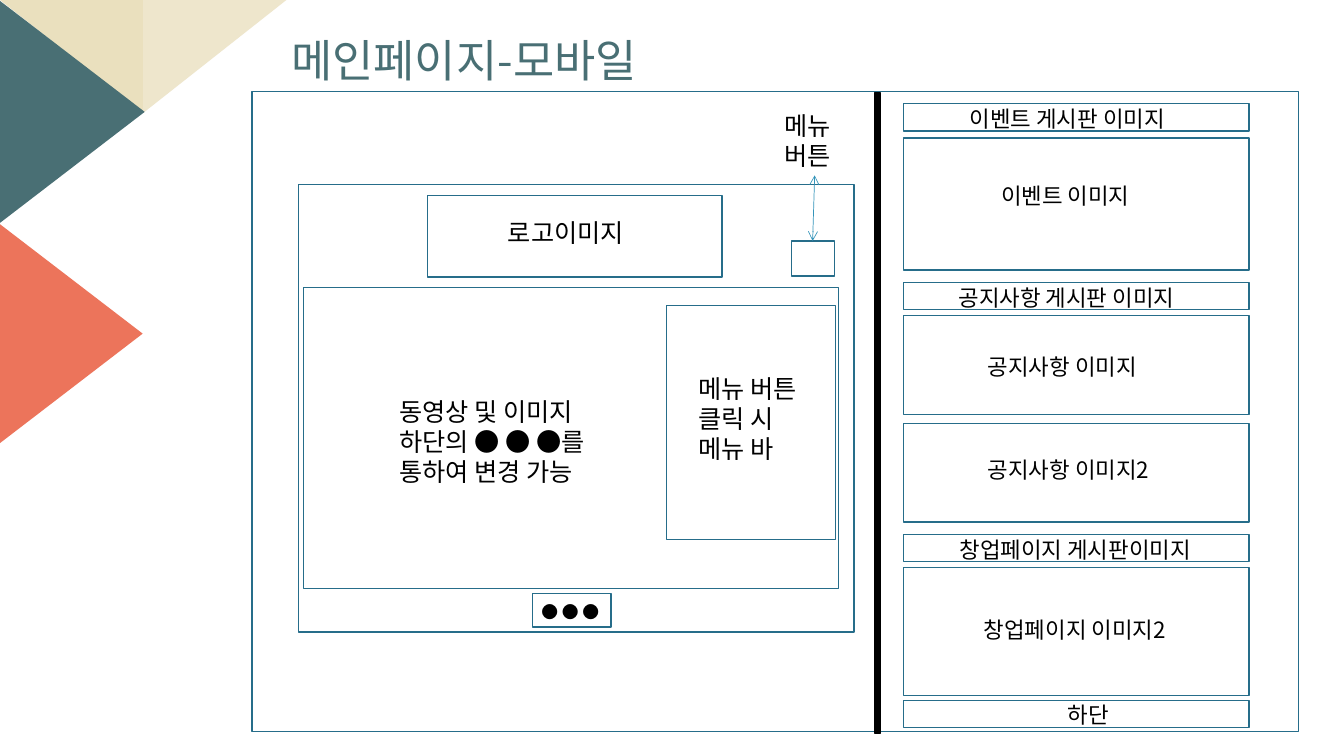
from lxml import etree
from pptx import Presentation
from pptx import util as u
from pptx.dml import color
from pptx.enum import shapes, text
from pptx.oxml import ns

Inches = u.Inches
FONT = "Noto Sans CJK KR"
COLORS = {"sand": "EAE0BE", "light_sand": "EEE6CC", "teal": "496F74", "coral": "EC745B",
          "outline": "266D8A", "arrow": "3494BA", "ink": "000000"}

# Left, top, width, height of the wireframe boxes
MOBILE_BOXES = [
    (2.5, 0.91, 10.38, 6.35),   # page
    (2.96, 1.83, 5.51, 4.44),   # phone screen
    (4.24, 1.94, 2.92, 0.81),   # logo
    (3.01, 2.85, 5.31, 2.99),   # video and images
    (5.28, 5.89, 0.78, 0.33),   # pager dots
    (6.61, 3.03, 1.68, 2.32),   # menu bar
    (7.85, 2.39, 0.43, 0.35),   # menu button
]

# Left, top, width, height, size, lines
MOBILE_LABELS = [
    (4.94, 2.11, 1.46, 0.4, 18, "로고이미지"),
    (7.68, 1.04, 0.81, 0.71, 18, "메뉴버튼"),
    (3.86, 3.88, 2.22, 1.01, 18, "동영상 및 이미지\n하단의 ● ● ●를\n통하여 변경 가능"),
    (6.83, 3.65, 1.3, 1.01, 18, "메뉴 버튼\n클릭 시\n메뉴 바"),
    (5.27, 5.92, 0.91, 0.3, 12, "● ● ●"),
]

# Right column: box top, box height, label left, label top, label width, label
SECTION_LEFT, SECTION_WIDTH, SECTION_LABEL_HEIGHT = 8.96, 3.43, 0.37
SECTIONS = [
    (1.03, 0.27, 9.52, 0.99, 2.37, "이벤트 게시판 이미지"),
    (1.37, 1.31, 9.83, 1.76, 1.62, "이벤트 이미지"),
    (2.8, 0.27, 9.41, 2.77, 2.6, "공지사항 게시판 이미지"),
    (3.13, 0.98, 9.7, 3.45, 1.85, "공지사항 이미지"),
    (4.2, 0.98, 9.7, 4.48, 1.98, "공지사항 이미지2"),
    (5.3, 0.27, 9.42, 5.27, 2.75, "창업페이지 게시판이미지"),
    (5.63, 1.27, 9.66, 6.06, 2.21, "창업페이지 이미지2"),
    (6.95, 0.27, 10.49, 6.91, 0.65, "하단"),
]


def rgb(name):
    return color.RGBColor.from_string(COLORS[name])


def add_block(slide, kind, box, fill=None, line=None, rotation=0):
    block = slide.shapes.add_shape(kind, *map(Inches, box))
    block.shadow.inherit = False
    block.rotation = rotation
    if fill:
        block.fill.solid()
        block.fill.fore_color.rgb = rgb(fill)
    else:
        block.fill.background()
    if line:
        block.line.color.rgb = rgb(line)
        block.line.width = u.Pt(1)
    else:
        block.line.fill.background()
    return block


def add_frame(slide, *box):
    return add_block(slide, shapes.MSO_SHAPE.RECTANGLE, box, line="outline")


def add_label(slide, left, top, width, height, size, words, ink="ink"):
    frame = slide.shapes.add_textbox(*map(Inches, (left, top, width, height))).text_frame
    frame.word_wrap = True
    frame.text = words
    for paragraph in frame.paragraphs:
        for run in paragraph.runs:
            run.font.size = u.Pt(size)
            run.font.name = FONT
            run.font.color.rgb = rgb(ink)
            east_asian = etree.SubElement(run.font._element, ns.qn("a:ea"))
            east_asian.set("typeface", FONT)
    return frame


def add_double_arrow(slide, *ends):
    arrow = slide.shapes.add_connector(shapes.MSO_CONNECTOR.STRAIGHT, *map(Inches, ends))
    arrow.line.color.rgb = rgb("arrow")
    arrow.line.width = u.Pt(0.5)
    outline = arrow.line._get_or_add_ln()
    for end in ("a:headEnd", "a:tailEnd"):
        etree.SubElement(outline, ns.qn(end)).set("type", "arrow")
    etree.SubElement(arrow._element.spPr, ns.qn("a:effectLst"))


def add_corner_triangles(slide):
    right, isosceles = shapes.MSO_SHAPE.RIGHT_TRIANGLE, shapes.MSO_SHAPE.ISOSCELES_TRIANGLE
    add_block(slide, right, (0, 0, 1.42, 1.12), "sand", rotation=180)
    mirrored = add_block(slide, right, (1.42, 0, 1.42, 1.12), "light_sand", rotation=180)
    mirrored._element.spPr.xfrm.set("flipH", "1")
    add_block(slide, isosceles, (-0.39, 0.39, 2.21, 1.44), "teal", rotation=90)
    add_block(slide, isosceles, (-0.41, 2.59, 2.21, 1.44), "coral", rotation=90)


def main():
    deck = Presentation()
    deck.slide_width, deck.slide_height = Inches(13.33), Inches(7.5)
    slide = deck.slides.add_slide(deck.slide_layouts[6])

    # Decoration and title
    add_corner_triangles(slide)
    title = add_label(slide, 2.79, 0.33, 4.93, 0.59, 32, "메인페이지-모바일", "teal")
    title.vertical_anchor = text.MSO_ANCHOR.MIDDLE
    title.paragraphs[0].line_spacing = 0.9

    # Phone screen
    for box in MOBILE_BOXES:
        add_frame(slide, *box)
    for label in MOBILE_LABELS:
        add_label(slide, *label)
    add_double_arrow(slide, 8.08, 1.74, 8.06, 2.39)

    # Sections further down the page
    for top, height, label_left, label_top, label_width, words in SECTIONS:
        add_frame(slide, SECTION_LEFT, top, SECTION_WIDTH, height)
        add_label(slide, label_left, label_top, label_width, SECTION_LABEL_HEIGHT, 16, words)

    # Divider
    add_block(slide, shapes.MSO_SHAPE.RECTANGLE, (8.68, 0.92, 0.05, 6.36), "ink", "ink")

    deck.save("out.pptx")


if __name__ == "__main__":
    main()
